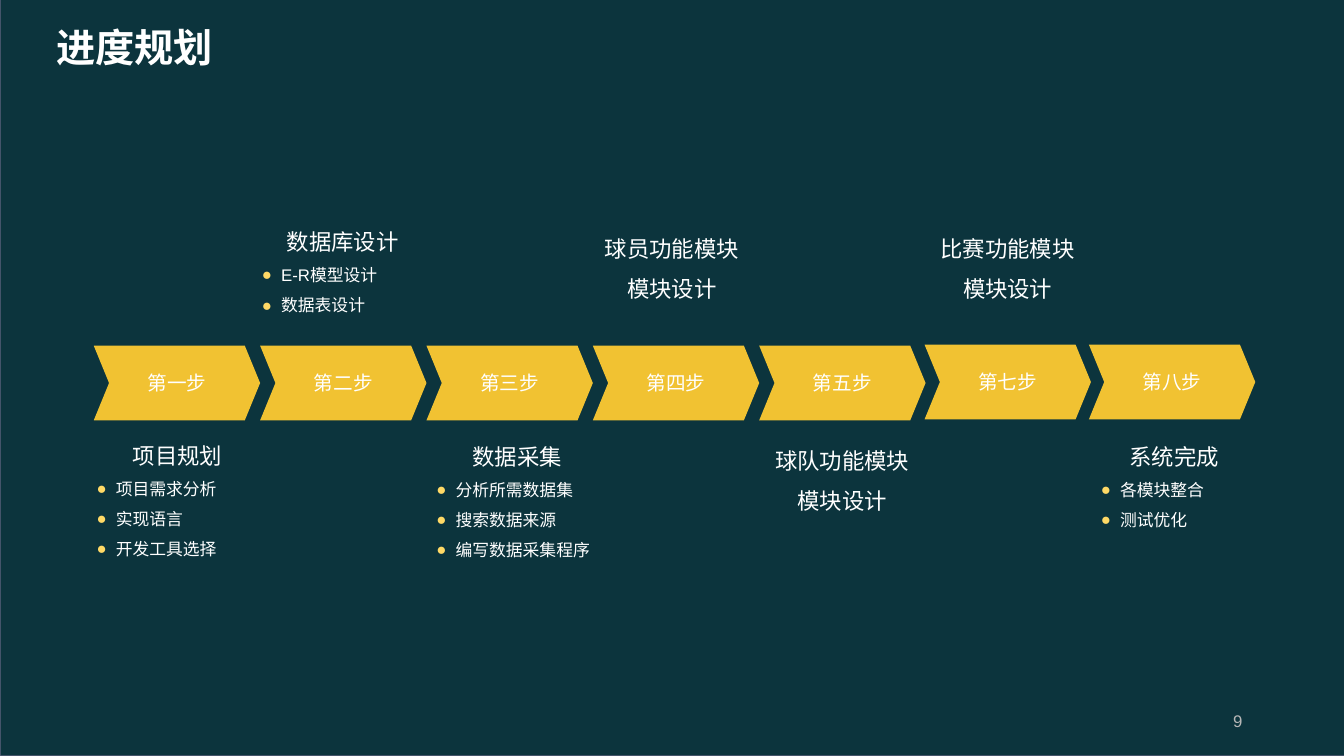
from lxml.etree import SubElement
from pptx import Presentation
from pptx.dml.color import RGBColor
from pptx.enum.shapes import MSO_SHAPE
from pptx.enum.text import MSO_ANCHOR, PP_ALIGN
from pptx.oxml.ns import qn
from pptx.util import Inches, Pt

COLORS = {
    "backdrop": "0C343D",
    "edge": "44546A",
    "step": "F1C232",
    "bullet": "FFD966",
    "text": "FFFFFF",
    "number": "B7B7B7",
}
STEP_WIDTH = 1.65
MAIN_STEPS = ["第一步", "第二步", "第三步", "第四步", "第五步"]
LATE_STEPS = [("第七步", 9.17), ("第八步", 10.8)]
PHASES = [
    (0.86, 4.2, 1.8, 1.4, "项目规划", ["项目需求分析", "实现语言", "开发工具选择"]),
    (2.5, 2.08, 1.8, 1.4, "数据库设计", ["E-R模型设计", "数据表设计"]),
    (4.23, 4.21, 1.8, 1.4, "数据采集", ["分析所需数据集", "搜索数据来源", "编写数据采集程序"]),
    (5.88, 2.15, 1.57, 1.06, "球员功能模块模块设计", []),
    (7.57, 4.25, 1.57, 1.06, "球队功能模块模块设计", []),
    (9.21, 2.15, 1.57, 1.06, "比赛功能模块模块设计", []),
    (10.82, 4.21, 1.65, 1.4, "系统完成", ["各模块整合", "测试优化"]),
]


def rgb(name):
    return RGBColor.from_string(COLORS[name])


def style(paragraph, text, size, align=PP_ALIGN.LEFT, color="text", face="Arial", bold=False):
    paragraph.text = text
    paragraph.alignment = align
    font = paragraph.font
    font.size = Pt(size)
    font.name = face
    font.bold = bold
    font.color.rgb = rgb(color)


def add_bullet(paragraph):
    properties = paragraph._p.get_or_add_pPr()
    properties.set("marL", str(Inches(0.19)))
    properties.set("indent", str(-Inches(0.19)))
    bullet_color = SubElement(properties, qn("a:buClr"))
    SubElement(bullet_color, qn("a:srgbClr"), val=COLORS["bullet"])
    SubElement(properties, qn("a:buFont"), typeface="Arial")
    SubElement(properties, qn("a:buChar"), char="●")


def add_text_frame(slide, left, top, width, height):
    box = slide.shapes.add_textbox(Inches(left), Inches(top), Inches(width), Inches(height))
    box.text_frame.word_wrap = True
    return box.text_frame


def add_backdrop(slide):
    backdrop = slide.shapes.add_shape(
        MSO_SHAPE.RECTANGLE, Inches(0.01), 0, Inches(13.33), Inches(7.5))
    backdrop.shadow.inherit = False
    backdrop.fill.solid()
    backdrop.fill.fore_color.rgb = rgb("backdrop")
    backdrop.line.color.rgb = rgb("edge")
    backdrop.line.width = Pt(0.75)


def add_step(slide, label, left, top):
    step = slide.shapes.add_shape(
        MSO_SHAPE.CHEVRON, Inches(left), Inches(top), Inches(STEP_WIDTH), Inches(0.74))
    step.adjustments[0] = 0.205
    step.shadow.inherit = False
    step.fill.solid()
    step.fill.fore_color.rgb = rgb("step")
    step.line.fill.background()
    step.text_frame.vertical_anchor = MSO_ANCHOR.MIDDLE
    style(step.text_frame.paragraphs[0], label, 14, PP_ALIGN.CENTER)


def add_phase(slide, left, top, width, height, heading, tasks):
    frame = add_text_frame(slide, left, top, width, height)
    title = frame.paragraphs[0]
    title.line_spacing = 1.5
    style(title, heading, 16, PP_ALIGN.CENTER)
    for task in tasks:
        item = frame.add_paragraph()
        item.line_spacing = 1.5
        add_bullet(item)
        style(item, task, 12)


def main():
    deck = Presentation()
    deck.slide_width = Inches(13.33)
    deck.slide_height = Inches(7.5)
    slide = deck.slides.add_slide(deck.slide_layouts[6])

    add_backdrop(slide)
    page_number = add_text_frame(slide, 9.42, 6.95, 3, 0.4)
    page_number.vertical_anchor = MSO_ANCHOR.MIDDLE
    style(page_number.paragraphs[0], "9", 12, PP_ALIGN.RIGHT, "number")
    heading = add_text_frame(slide, 0.46, 0.18, 5.1, 0.57)
    style(heading.paragraphs[0], "进度规划", 28, face="Roboto", bold=True)

    for index, label in enumerate(MAIN_STEPS):
        add_step(slide, label, 0.93 + index * STEP_WIDTH, 3.43)
    for label, left in LATE_STEPS:
        add_step(slide, label, left, 3.42)
    for phase in PHASES:
        add_phase(slide, *phase)

    deck.save("out.pptx")


if __name__ == "__main__":
    main()
